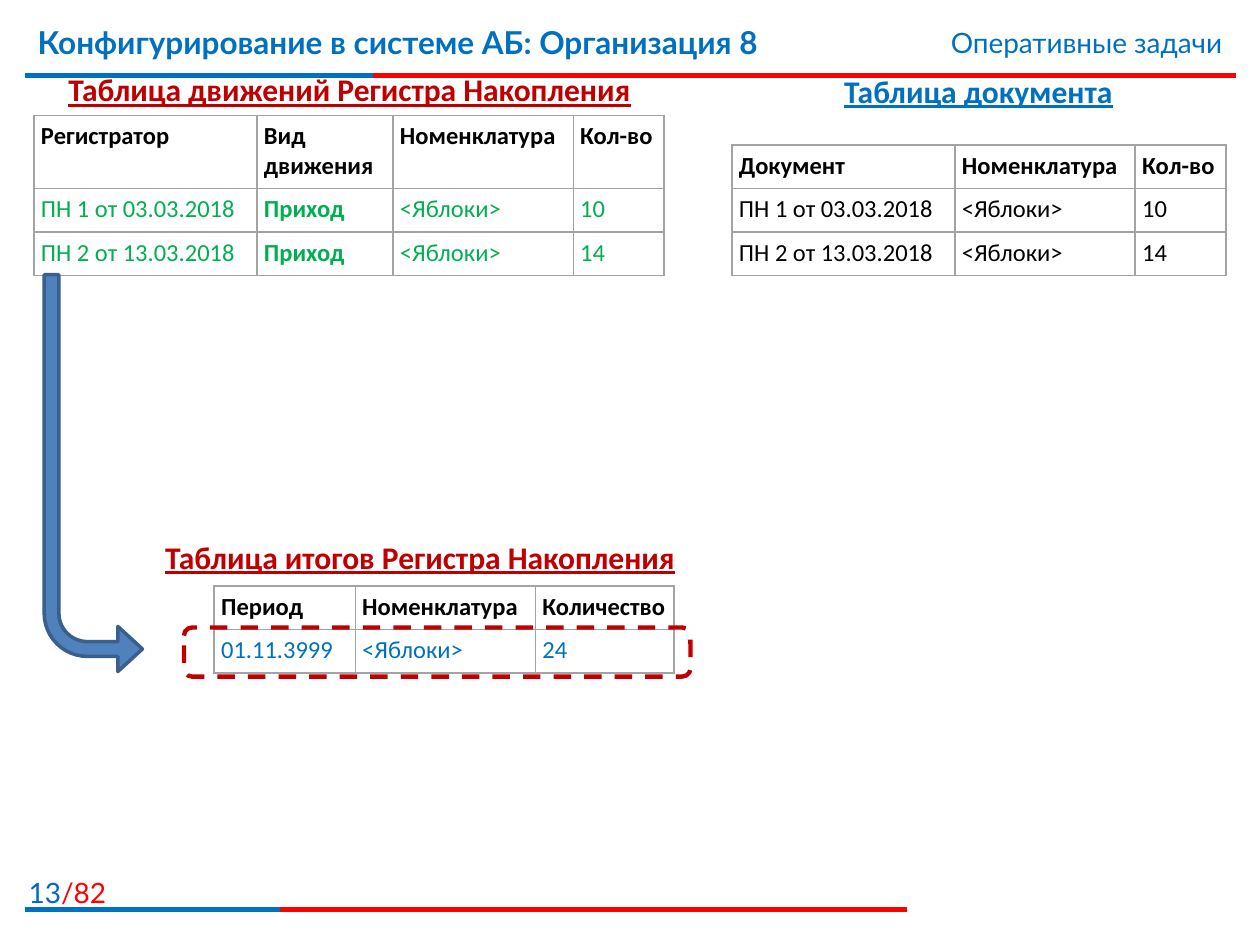
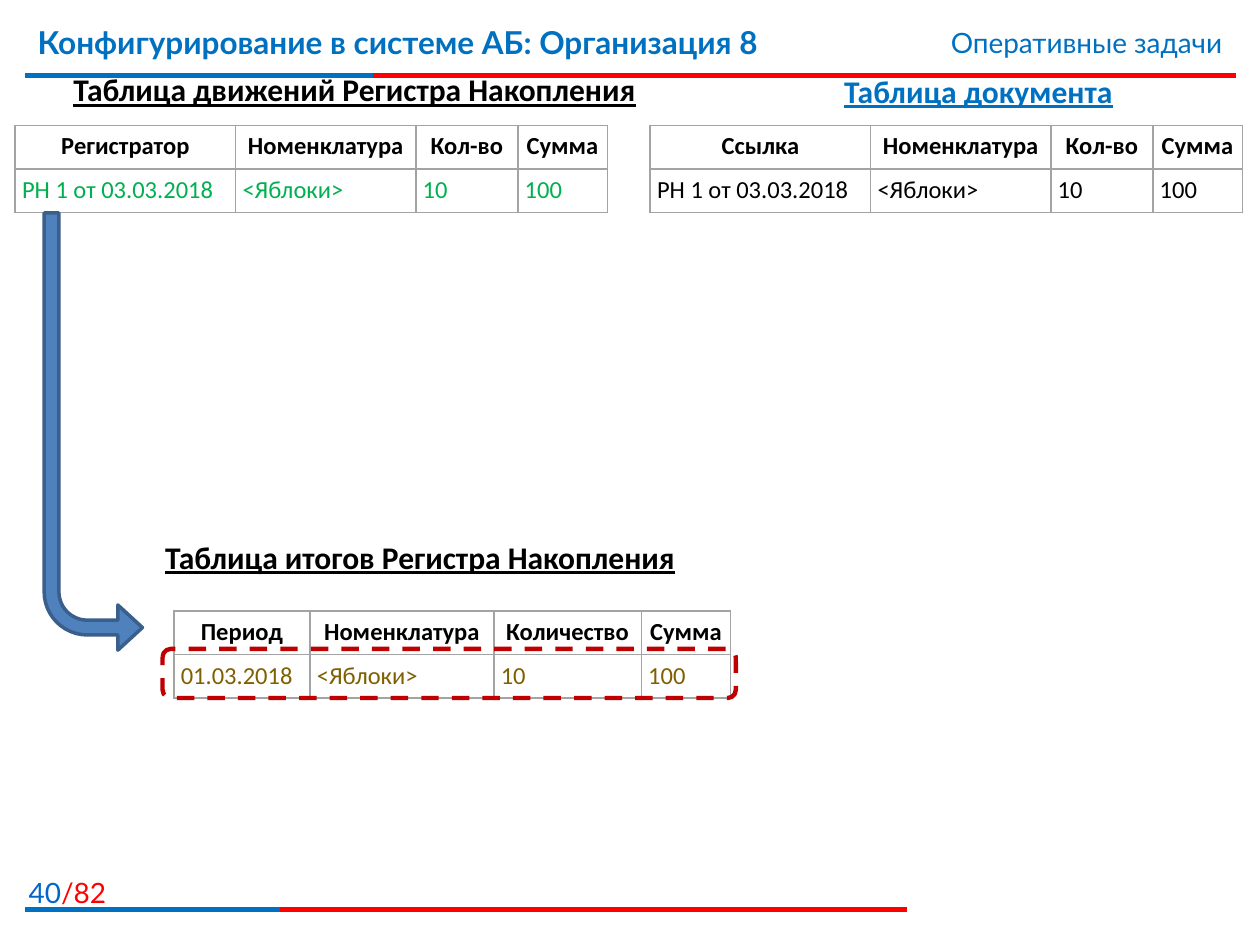
from lxml.etree import SubElement
from pptx import Presentation
from pptx.dml.color import RGBColor
from pptx.enum.dml import MSO_LINE
from pptx.enum.shapes import MSO_CONNECTOR, MSO_SHAPE
from pptx.enum.text import PP_ALIGN as ALIGN
from pptx.oxml import parse_xml
from pptx.oxml.ns import nsdecls, qn
from pptx.util import Emu, Pt

PX_PER_INCH = 200
BLUE, RED, DARK_RED = "0070C0", "FF0000", "C00000"
BLACK, GREEN, OLIVE = "000000", "00B050", "7F6000"
PAGE_BLUE, ARROW_BLUE, ARROW_EDGE, GRID = "0066CC", "4F81BD", "3A5F8C", "A3A3A3"
ROW, TALL_ROW = 69, 116
ROW_FRAME_HEIGHT = 78
TOTAL_PAGES = 82


def px(value):
    return Emu(value * 914400 // PX_PER_INCH)


def color(hex_text):
    return RGBColor.from_string(hex_text)


def set_values(target, values):
    for name, value in values.items():
        setattr(target, name, value)


def add_run(paragraph, text, hex_color, **font_values):
    run = paragraph.add_run()
    run.text = text
    set_values(run.font, font_values)
    run.font.color.rgb = color(hex_color)


def add_text(slide, box, runs, align=ALIGN.LEFT, **font_values):
    """Add a text box; runs is a list of (text, colour)."""
    shape = slide.shapes.add_textbox(*map(px, box))
    shape.text_frame.word_wrap = True
    paragraph = shape.text_frame.paragraphs[0]
    paragraph.alignment = align
    for text, hex_color in runs:
        add_run(paragraph, text, hex_color, **font_values)


def add_heading(slide, box, text, hex_color):
    add_text(slide, box, [(text, hex_color)], ALIGN.CENTER,
             name="Calibri", size=Pt(18), bold=True, underline=True)


def add_rule(slide, y, blue_end, red_end):
    """Draw a red rule whose left part is blue."""
    for end, hex_color in ((red_end, RED), (blue_end, BLUE)):
        rule = slide.shapes.add_connector(
            MSO_CONNECTOR.STRAIGHT, px(40), px(y), px(end), px(y))
        set_values(rule.line, {"width": Pt(3)})
        rule.line.color.rgb = color(hex_color)
        SubElement(rule._element.spPr, qn("a:effectLst"))


def add_cell_borders(cell):
    properties = cell._tc.get_or_add_tcPr()
    for index, side in enumerate(("lnL", "lnR", "lnT", "lnB")):
        properties.insert(index, parse_xml(
            f'<a:{side} {nsdecls("a")} w="{Pt(1)}"><a:solidFill>'
            f'<a:srgbClr val="{GRID}"/></a:solidFill></a:{side}>'))


def add_grid(slide, left, top, widths, rows, body_color,
             header_align=ALIGN.LEFT, header_height=ROW, bold_columns=()):
    heights = [header_height] + [ROW] * (len(rows) - 1)
    frame = slide.shapes.add_table(
        len(rows), len(widths), px(left), px(top), px(sum(widths)), px(sum(heights)))
    table = frame.table
    set_values(table, {"first_row": False, "horz_banding": False})
    for column, width in zip(table.columns, widths):
        column.width = px(width)
    for row_index, (row, height) in enumerate(zip(rows, heights)):
        table.rows[row_index].height = px(height)
        is_header = row_index == 0
        for column_index, text in enumerate(row):
            cell = table.cell(row_index, column_index)
            set_values(cell, {"margin_left": px(11), "margin_right": px(11),
                              "margin_top": px(10), "margin_bottom": px(10)})
            cell.fill.background()
            add_cell_borders(cell)
            paragraph = cell.text_frame.paragraphs[0]
            paragraph.alignment = header_align if is_header else ALIGN.LEFT
            add_run(paragraph, text, BLACK if is_header else body_color,
                    name="Calibri", size=Pt(14),
                    bold=is_header or column_index in bold_columns)


def add_totals_arrow(slide, top, height):
    """Add the bent arrow that runs down from the movements to the totals."""
    arrow = slide.shapes.add_shape(
        MSO_SHAPE.BENT_ARROW, px(70), px(top), px(156), px(height))
    for index, value in enumerate((0.15, 0.23, 0.25, 0.44)):
        arrow.adjustments[index] = value
    arrow.rotation = 180
    arrow._element.spPr.xfrm.set("flipH", "1")
    arrow.shadow.inherit = False
    arrow.fill.solid()
    arrow.fill.fore_color.rgb = color(ARROW_BLUE)
    arrow.line.color.rgb = color(ARROW_EDGE)
    arrow.line.width = Pt(2)


def add_row_frame(slide, left, top, width):
    frame = slide.shapes.add_shape(
        MSO_SHAPE.ROUNDED_RECTANGLE, px(left), px(top), px(width), px(ROW_FRAME_HEIGHT))
    frame.shadow.inherit = False
    frame.fill.background()
    frame.line.color.rgb = color(DARK_RED)
    set_values(frame.line, {"width": Pt(2.5), "dash_style": MSO_LINE.DASH})


def add_register_slide(presentation, page, register_color, movements_width):
    """Add a slide with the shared bands, titles and table headings."""
    slide = presentation.slides.add_slide(presentation.slide_layouts[6])
    add_rule(slide, 120, 592, 1962)
    add_text(slide, (-20, 1380, 208, 64),
             [(str(page), PAGE_BLUE), (f"/{TOTAL_PAGES}", RED)],
             ALIGN.RIGHT, name="Lato", size=Pt(16))
    add_rule(slide, 1444, 444, 1440)
    add_text(slide, (40, 26, 1480, 124),
             [("Конфигурирование в системе АБ: Организация 8", BLUE)],
             name="Lato", size=Pt(18), bold=True)
    add_text(slide, (1188, 30, 772, 74), [("Оперативные задачи", BLUE)],
             ALIGN.RIGHT, name="Lato", size=Pt(16))
    add_heading(slide, (1112, 104, 882, 80), "Таблица документа", BLUE)
    add_heading(slide, (56, 102, movements_width, 80),
                "Таблица движений Регистра Накопления", register_color)
    add_heading(slide, (226, 844, 882, 80),
                "Таблица итогов Регистра Накопления", register_color)
    return slide


def add_receipts_slide(presentation):
    slide = add_register_slide(presentation, 13, DARK_RED, 998)
    receipts = [("ПН 1 от 03.03.2018", "<Яблоки>", "10"),
                ("ПН 2 от 13.03.2018", "<Яблоки>", "14")]
    movements = [(document, "Приход", item, count) for document, item, count in receipts]
    add_grid(slide, 340, 930, (224, 286, 220),
             [("Период", "Номенклатура", "Количество"),
              ("01.11.3999", "<Яблоки>", "24")], BLUE)
    add_grid(slide, 54, 183, (354, 216, 286, 144),
             [("Регистратор", "Вид движения", "Номенклатура", "Кол-во"), *movements],
             GREEN, header_height=TALL_ROW, bold_columns=(1,))
    add_grid(slide, 1162, 230, (354, 286, 144),
             [("Документ", "Номенклатура", "Кол-во"), *receipts], BLACK)
    add_totals_arrow(slide, 436, 630)
    add_row_frame(slide, 292, 996, 804)


def add_sales_slide(presentation):
    slide = add_register_slide(presentation, 40, BLACK, 1014)
    widths = (350, 286, 162, 142)
    sale = ("РН 1 от 03.03.2018", "<Яблоки>", "10", "100")
    for left, document_title, body_color in ((24, "Регистратор", GREEN),
                                             (1032, "Ссылка", BLACK)):
        add_grid(slide, left, 199, widths,
                 [(document_title, "Номенклатура", "Кол-во", "Сумма"), sale],
                 body_color, ALIGN.CENTER)
    add_grid(slide, 276, 970, (216, 292, 234, 142),
             [("Период", "Номенклатура", "Количество", "Сумма"),
              ("01.03.2018", *sale[1:])], OLIVE, ALIGN.CENTER)
    add_totals_arrow(slide, 338, 694)
    add_row_frame(slide, 258, 1030, 910)


def main():
    presentation = Presentation()
    set_values(presentation, {"slide_width": px(2000), "slide_height": px(1500)})
    add_receipts_slide(presentation)
    add_sales_slide(presentation)
    presentation.save("out.pptx")


if __name__ == "__main__":
    main()
